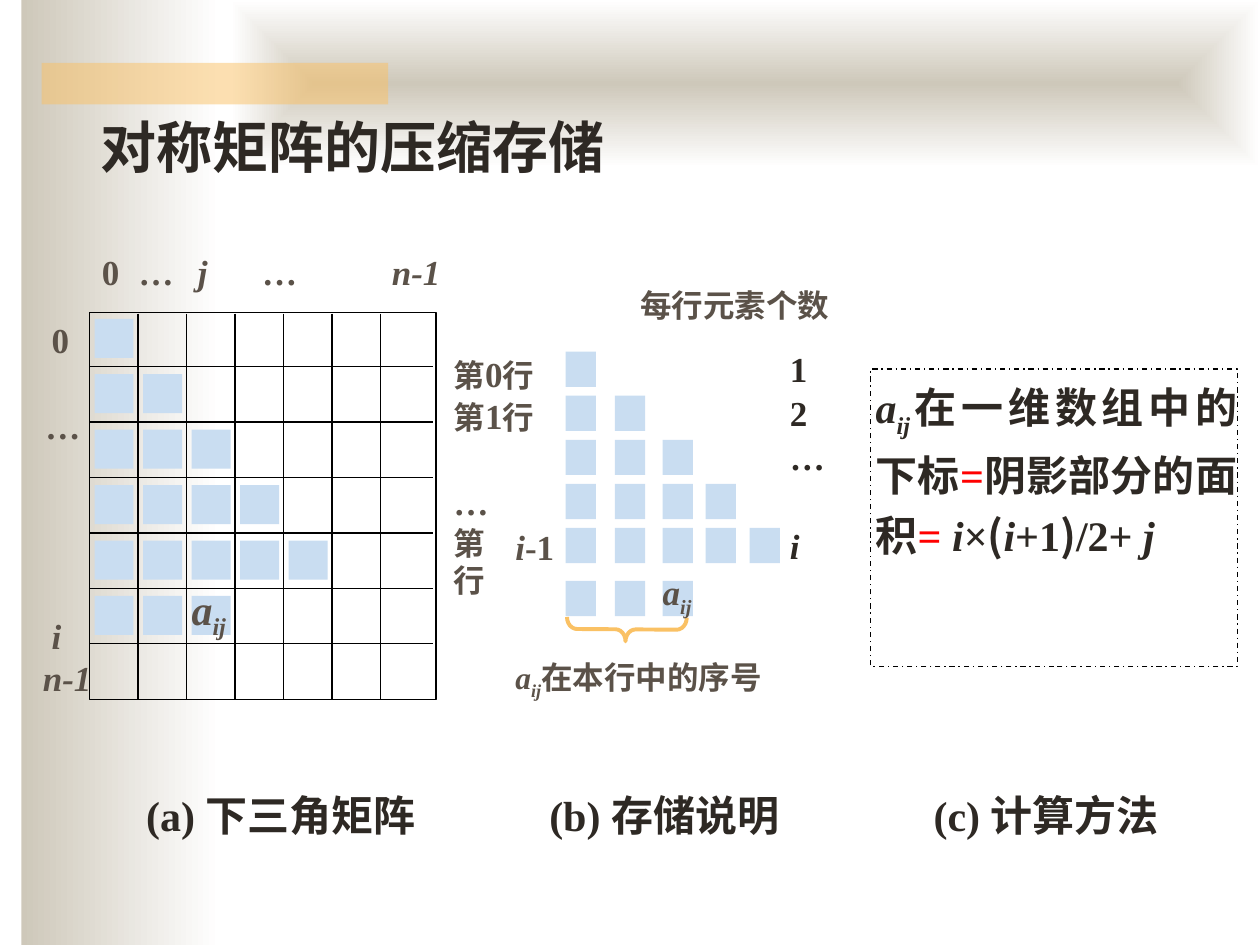
"""Build a slide explaining compressed storage of a symmetric matrix."""
from lxml.etree import SubElement
from pptx import Presentation
from pptx.dml.color import RGBColor
from pptx.enum.dml import MSO_LINE
from pptx.enum.shapes import MSO_CONNECTOR, MSO_SHAPE as Shape
from pptx.enum.text import MSO_ANCHOR, PP_ALIGN as Align
from pptx.oxml.ns import qn
from pptx.util import Inches, Pt

DARK = RGBColor(0x2E, 0x29, 0x24)
BROWN = RGBColor(0x5B, 0x52, 0x49)
SAND = RGBColor(0xCE, 0xC8, 0xBA)
GOLD = RGBColor(0xFA, 0xC1, 0x64)
SKY = RGBColor(0xC9, 0xDD, 0xF1)
RED = RGBColor(0xFF, 0, 0)
BLACK = RGBColor(0, 0, 0)
WHITE = RGBColor(0xFF, 0xFF, 0xFF)
SERIF, SANS = "Times New Roman", "Noto Sans CJK SC"

ITALIC = {"italic": True}
SUB = {"italic": True, "sub": True}
ELEMENT = [("a", ITALIC), ("ij", SUB)]
EQUALS = {"color": RED}
FORMULA = ELEMENT + [
    ("在一维数组中的下标", {}), ("=", EQUALS), ("阴影部分的面积", {}), ("= ", EQUALS),
    ("i", ITALIC), ("×", {}), ("(", {"name": SANS}), ("i", ITALIC), ("+1", {}),
    (")", {"name": SANS}), ("/2+ ", {}), ("j", ITALIC)]

TITLE = "对称矩阵的压缩存储"
CAPTIONS = [(1.16, "(a) 下三角矩阵"), (4.36, "(b) 存储说明"), (7.41, "(c) 计算方法")]
COLUMN_LABELS = [(0.81, "0", {}), (1.1, "…", {}), (1.57, "j", ITALIC),
                 (2.08, "…", {}), (3.11, "n-1", ITALIC)]
ROW_LABELS = [(0.41, 2.53, "0", {}), (0.36, 3.21, "…", {}),
              (0.41, 4.88, "i", ITALIC), (0.34, 5.21, "n-1", ITALIC)]
STORAGE_LABELS = [
    (2.8, 3.6, [("第", {}), ("0", {"size": 20}), ("行", {})]),
    (3.13, 3.6, [("第", {}), ("1", {"size": 20}), ("行", {})]),
    (3.81, 3.6, [("…", {"size": 20})]),
    (4.16, 3.6, [("第", {})]),
    (4.17, 4.09, [("i", {"size": 20, "italic": True}), ("-1", {"size": 20})]),
    (4.45, 3.6, [("行", {})])]
ROW_COUNTS = [(0, "1", {}), (1, "2", {}), (2, "…", {}), (4, "i", ITALIC)]

SHADED = (1, 2, 3, 4, 5, 3)
ORDER = 7
FRAME = (0.71, 2.48, 2.75, 3.07)
PITCH_X, PITCH_Y, CELL = 0.385, 0.44, 0.31
STORE_COLUMNS = (4.49, 4.88, 5.26, 5.6, 5.95)
STORE_ROWS = (2.79, 3.14, 3.49, 3.84, 4.19, 4.61)
COUNT_TOP, COUNT_PITCH = 2.76, 0.35

deck = Presentation()
deck.slide_width, deck.slide_height = Inches(10), Inches(7.5)
page = deck.slides.add_slide(deck.slide_layouts[6])


def write(box, runs, size, color, margins=(0, 0, 0, 0), align=Align.JUSTIFY,
          spacing=None, name=SERIF):
    """Fill a shape with one bold paragraph."""
    frame = box.text_frame
    frame.word_wrap, frame.vertical_anchor = True, MSO_ANCHOR.TOP
    for side, margin in zip(("left", "top", "right", "bottom"), margins):
        setattr(frame, f"margin_{side}", Inches(margin))
    para = frame.paragraphs[0]
    para.alignment, para.line_spacing = align, spacing
    for text, style in runs:
        span = para.add_run()
        span.text = text
        look = {"name": name, "size": size, "color": color, "bold": True,
                "italic": False, **style}
        span.font.color.rgb = look.pop("color")
        look["size"] = Pt(look["size"])
        lowered = look.pop("sub", False)
        for key, value in look.items():
            setattr(span.font, key, value)
        props = span.font._element
        SubElement(props, qn("a:ea"), typeface=SANS)
        if lowered:
            props.set("baseline", "-25000")


def label(left, top, width, height, runs, size, color, **style):
    """Add a text box."""
    box = page.shapes.add_textbox(*map(Inches, (left, top, width, height)))
    write(box, runs, size, color, **style)


def block(area, fill=None, line=None, kind=Shape.RECTANGLE, weight=0.75):
    """Add a preset shape with an optional fill and outline."""
    box = page.shapes.add_shape(kind, *map(Inches, area))
    box.shadow.inherit = False
    if fill is None:
        box.fill.background()
    else:
        box.fill.solid()
        box.fill.fore_color.rgb = fill
    if line is None:
        box.line.fill.background()
    else:
        box.line.color.rgb, box.line.width = line, Pt(weight)
    return box


def fade(box):
    """Shade a shape from sand to white and return the gradient element."""
    box.fill.gradient()
    box.fill.gradient_angle = 0
    for stop, color in zip(box.fill.gradient_stops, (SAND, WHITE)):
        stop.color.rgb = color
    return box._element.spPr.find(qn("a:gradFill"))


def rule(*ends):
    """Draw one thin grid line."""
    line = page.shapes.add_connector(MSO_CONNECTOR.STRAIGHT, *map(Inches, ends))
    line.line.color.rgb, line.line.width = BLACK, Pt(0.75)
    SubElement(line._element.spPr, qn("a:effectLst"))


def triangle(lefts, tops, width, height, size):
    """Draw the shaded elements and name the last one."""
    for top, count in zip(tops, SHADED):
        for left in lefts[:count]:
            cell = block((left, top, width, height), SKY)
    write(cell, ELEMENT, size, BROWN, spacing=0.64)


def draw_backdrop():
    """Draw the shaded bands and the gold bar."""
    fade(block((0.17, 0, 1.58, 7.5), WHITE))
    gradient = fade(block((1.83, 0, 8.17, 1.33), WHITE))
    gradient.remove(gradient.find(qn("a:lin")))
    focus = SubElement(gradient, qn("a:path"), {"path": "shape"})
    SubElement(focus, qn("a:fillToRect"), dict.fromkeys("ltrb", "50000"))
    bar = block((0.33, 0.5, 2.75, 0.33), GOLD)
    color = bar._element.spPr.find(qn("a:solidFill"))[0]
    SubElement(color, qn("a:alpha"), val="50000")


def draw_matrix():
    """Draw the lower triangular matrix with its labels."""
    for left, text, style in COLUMN_LABELS:
        label(left, 1.99, 0.5, 0.32, [(text, style)], 20, BROWN)
    for left, top, text, style in ROW_LABELS:
        label(left, top, 0.45, 0.32, [(text, style)], 20, BROWN)
    left, top, width, height = FRAME
    block(FRAME, line=BLACK)
    for step in range(1, ORDER):
        x, y = left + step * PITCH_X, top + step * PITCH_Y - 0.01
        rule(left, y, left + width - 0.02, y)
        rule(x, top + 0.01, x, top + height)
    triangle([left + 0.04 + step * PITCH_X for step in range(ORDER)],
             [top + 0.05 + step * PITCH_Y for step in range(ORDER)], CELL, CELL, 24)


def draw_storage():
    """Draw the row by row storage with counts and brace."""
    label(5.08, 2.27, 1.97, 0.37, [("每行元素个数", {})], 18, BROWN)
    for row, text, style in ROW_COUNTS:
        label(6.27, COUNT_TOP + row * COUNT_PITCH, 0.33, 0.32, [(text, style)], 20, DARK)
    for top, left, runs in STORAGE_LABELS:
        label(left, top, 0.87, 0.36, runs, 18, BROWN)
    brace = block((4.88, 4.52, 0.19, 0.95), line=GOLD, kind=Shape.LEFT_BRACE, weight=2.25)
    brace.rotation = 270.4
    brace.adjustments[0], brace.adjustments[1] = 0.42, 0.49
    label(4.09, 5.22, 2.1, 0.45, ELEMENT + [("在本行中的序号", {})], 18, BROWN)
    triangle(STORE_COLUMNS, STORE_ROWS, 0.24, 0.28, 20)


def draw_formula():
    """Draw the dashed box with the index formula."""
    box = block((6.91, 2.93, 2.91, 2.36), line=BLACK)
    box.line.dash_style = MSO_LINE.DASH_DOT
    write(box, FORMULA, 24, DARK, margins=(0.04, 0.01, 0, 0.01), spacing=1.2)


draw_backdrop()
for caption_left, caption in CAPTIONS:
    label(caption_left, 6.27, 2.4, 0.47, [(caption, {})], 24, DARK)
draw_formula()
draw_matrix()
draw_storage()
label(0.7, 0.84, 7.08, 0.64, [(TITLE, {})], 32, DARK,
      margins=(0.1, 0.05, 0.1, 0.05), align=Align.LEFT, name=SANS)
deck.save("out.pptx")
